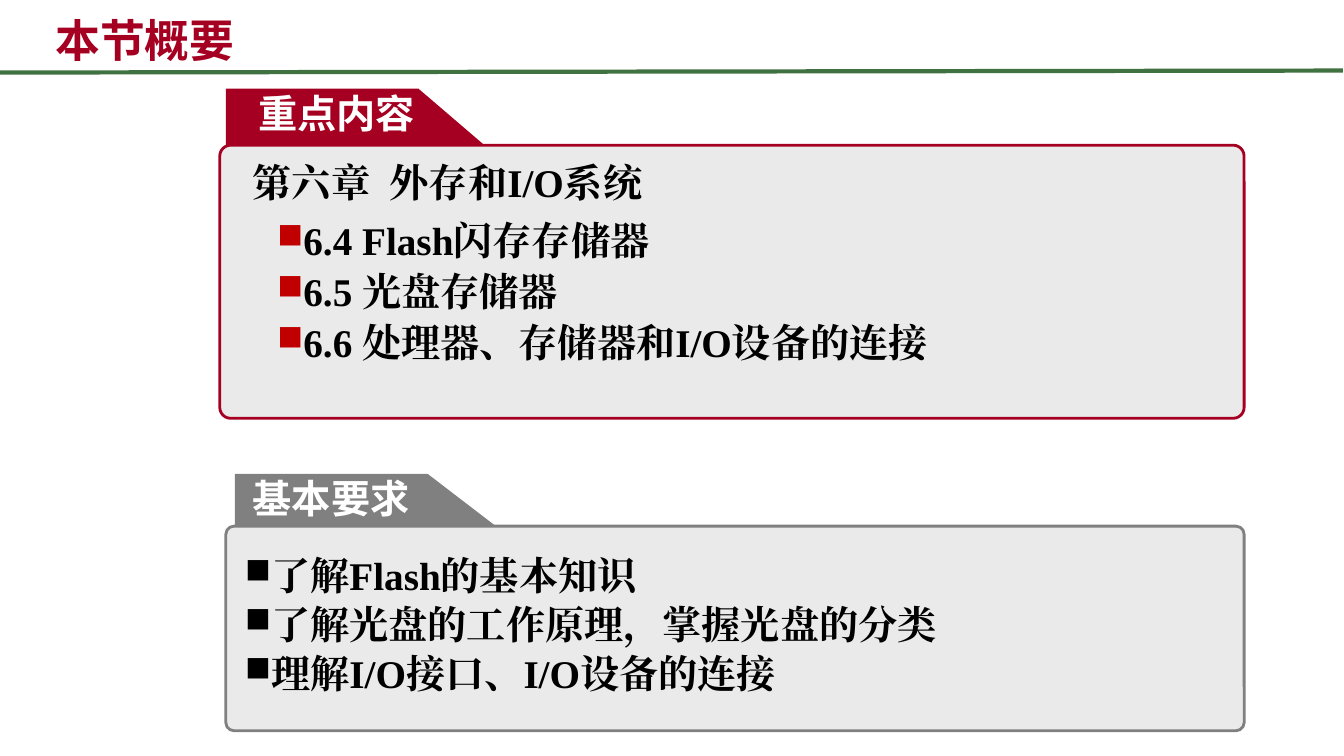
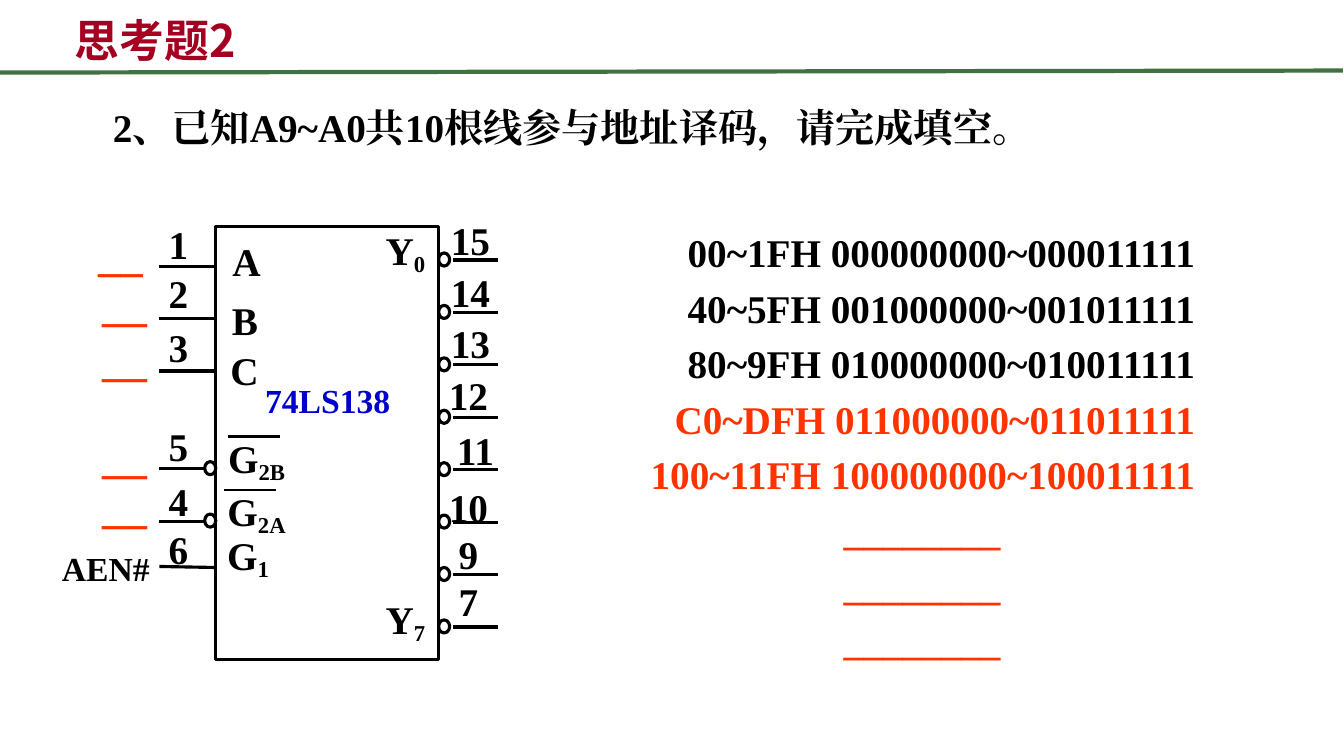
"""Builds two lecture slides: a section overview and a decoder exercise."""
from lxml.etree import SubElement
from pptx import Presentation
from pptx.dml.color import RGBColor
from pptx.enum.shapes import MSO_CONNECTOR as CONN, MSO_SHAPE as SHAPE
from pptx.enum.text import MSO_ANCHOR as ANCHOR, PP_ALIGN as ALIGN
from pptx.oxml.ns import qn
from pptx.util import Inches, Pt

COLORS = {
    "crimson": "A50021", "green": "3F7141", "gray": "808080", "panel": "EAEAEA",
    "black": "000000", "white": "FFFFFF", "bullet": "C00000",
    "answer": "FF3300", "chip": "0000CC",
}
SERIF, SANS, TITLE = "Times New Roman", "Arial", "Noto Sans CJK SC"
LEADING = 1.2
PIN_GAP = 0.52


def rgb(name):
    return RGBColor.from_string(COLORS[name])


def set_font(p, size, color, font):
    p.font.size = Pt(size)
    p.font.bold = True
    p.font.color.rgb = rgb(color)
    p.font.name = font
    props = p._p.pPr.find(qn("a:defRPr"))
    SubElement(props, qn("a:ea")).set("typeface", font)


def set_bullet(p, color, left, hang):
    props = p._p.get_or_add_pPr()
    props.set("marL", str(Inches(left)))
    props.set("indent", str(-Inches(hang)))
    clr = SubElement(props, qn("a:buClr"))
    SubElement(clr, qn("a:srgbClr")).set("val", COLORS[color])
    SubElement(props, qn("a:buSzPct")).set("val", "90000")
    SubElement(props, qn("a:buChar")).set("char", "■")


def add_text(s, box, lines, size=28, color="black", font=SERIF, align=ALIGN.LEFT,
             spacing=1.0, before=0, wrap=True, bullet=None):
    """Add a text box; each line is a string or a (text, color) pair."""
    tf = s.shapes.add_textbox(*map(Inches, box)).text_frame
    tf.word_wrap = wrap
    for i, line in enumerate(lines):
        text, tint = line if isinstance(line, tuple) else (line, color)
        p = tf.paragraphs[0] if i == 0 else tf.add_paragraph()
        p.add_run().text = text
        p.alignment = align
        p.line_spacing = Pt(round(size * LEADING * spacing, 1))
        if i and before:
            p.space_before = Pt(before)
        if bullet:
            set_bullet(p, *bullet)
        set_font(p, size, tint, font)
    return tf


def add_label(s, x, y, w, text, sub="", size=28, color="black"):
    """Add a one-line centred label with an optional subscript."""
    tf = add_text(s, (x, y, w, 0.1 + size / 60), [text], size, color,
                  align=ALIGN.CENTER, wrap=False)
    if sub:
        r = tf.paragraphs[0].add_run()
        r.text = sub
        r._r.get_or_add_rPr().set("baseline", "-18000")


def add_line(s, x1, y1, x2, y2, color="black", width=2.25):
    c = s.shapes.add_connector(CONN.STRAIGHT, *map(Inches, (x1, y1, x2, y2)))
    c.line.color.rgb = rgb(color)
    c.line.width = Pt(width)
    SubElement(c._element.spPr, qn("a:effectLst"))


def add_outline(s, kind, box, line="black", width=2.25, fill=None):
    sp = s.shapes.add_shape(kind, *map(Inches, box))
    sp.shadow.inherit = False
    if fill:
        sp.fill.solid()
        sp.fill.fore_color.rgb = rgb(fill)
    else:
        sp.fill.background()
    sp.line.color.rgb = rgb(line)
    sp.line.width = Pt(width)
    return sp


def add_tab(s, x, y, h, color):
    """Add a tab with a slanted right side."""
    fb = s.shapes.build_freeform(Inches(x), Inches(y))
    corners = [(x + 1.91, y), (x + 2.68, y + h), (x, y + h)]
    fb.add_line_segments([(Inches(a), Inches(b)) for a, b in corners], close=True)
    sp = fb.convert_to_shape()
    sp.shadow.inherit = False
    sp.fill.solid()
    sp.fill.fore_color.rgb = rgb(color)
    sp.line.fill.background()


def add_panel(s, box, color):
    sp = add_outline(s, SHAPE.ROUNDED_RECTANGLE, box, color, 2, "panel")
    sp.adjustments[0] = 0.04


def add_bubble(s, x, y):
    add_outline(s, SHAPE.OVAL, (x, y - 0.07, 0.11, 0.13))


def new_slide(prs, title, x):
    s = prs.slides.add_slide(prs.slide_layouts[6])
    add_line(s, 0, 0.72, 13.32, 0.7, "green", 3)
    tf = s.shapes.add_textbox(*map(Inches, (x, 0.09, 3.23, 0.62))).text_frame
    tf.word_wrap = True
    tf.vertical_anchor = ANCHOR.BOTTOM
    p = tf.paragraphs[0]
    p.add_run().text = title
    p.alignment = ALIGN.LEFT
    set_font(p, 32, "crimson", TITLE)
    return s


def build_overview(prs):
    s = new_slide(prs, "本节概要", 0.45)
    add_tab(s, 2.24, 0.88, 0.66, "crimson")
    add_text(s, (2.38, 0.84, 1.92, 0.57), ["重点内容"], color="white", font=SANS,
             align=ALIGN.CENTER)
    add_panel(s, (2.18, 1.44, 10.16, 2.71), "crimson")
    add_text(s, (2.41, 1.47, 6.83, 0.59), ["第六章  外存和I/O系统"], spacing=1.1)
    add_text(s, (2.37, 2.1, 9.96, 1.61),
             ["6.4 Flash闪存存储器", "6.5 光盘存储器", "6.6 处理器、存储器和I/O设备的连接"],
             before=2.8, bullet=("bullet", 0.5, 0.22))
    add_tab(s, 2.33, 4.7, 0.59, "gray")
    add_text(s, (2.41, 4.66, 1.76, 0.57), ["基本要求"], color="white", font=SANS)
    add_panel(s, (2.24, 5.22, 10.1, 2.03), "gray")
    add_text(s, (2.33, 5.42, 10, 1.56),
             ["了解Flash的基本知识", "了解光盘的工作原理，掌握光盘的分类", "理解I/O接口、I/O设备的连接"],
             before=1.4, bullet=("black", 0.19, 0.19))


def add_decoder(s):
    """Draw the decoder chip with its pins, pin names and pin numbers."""
    add_outline(s, SHAPE.RECTANGLE, (2.14, 2.25, 2.21, 4.29))
    for i in range(3):
        y = 2.64 + i * PIN_GAP
        add_line(s, 1.58, y, 2.14, y)
    for i in range(8):
        y = 2.58 + i * PIN_GAP
        add_bubble(s, 4.35, y)
        add_line(s, 4.49, y, 4.94, y)
    for y in (4.65, 4.65 + PIN_GAP):
        add_bubble(s, 2.03, y)
        add_line(s, 1.58, y, 2.03, y)
    add_line(s, 1.58, 5.62, 2.14, 5.63)
    for x, y in ((2.26, 4.33), (2.22, 4.86)):
        add_line(s, x, y, x + 0.52, y, width=1.5)

    for x, y, w, name, sub in [
        (2.2, 2.31, 0.49, "A", ""), (2.2, 2.89, 0.46, "B", ""),
        (2.18, 3.39, 0.49, "C", ""), (2.14, 4.3, 0.81, "G", "2B"),
        (2.13, 4.82, 0.83, "G", "2A"), (2.14, 5.26, 0.64, "G", "1"),
        (3.71, 2.23, 0.62, "Y", "0"), (3.71, 5.89, 0.62, "Y", "7"),
    ]:
        add_label(s, x, y, w, name, sub)
    for number, y in [("1", 2.14), ("2", 2.62), ("3", 3.16),
                      ("5", 4.14), ("4", 4.69), ("6", 5.16)]:
        add_label(s, 1.57, y, 0.4, number)
    for number, x, y in [("15", 4.37, 2.1), ("14", 4.37, 2.61), ("13", 4.37, 3.12),
                         ("12", 4.35, 3.63), ("11", 4.42, 4.18), ("10", 4.35, 4.75),
                         ("9", 4.35, 5.21), ("7", 4.35, 5.68)]:
        add_label(s, x, y, 0.59, number)
    add_label(s, 2.52, 3.72, 1.46, "74LS138", size=24, color="chip")
    add_label(s, 0.51, 5.39, 1.08, "AEN#", size=24)


def build_exercise(prs):
    s = new_slide(prs, "思考题2", 0.64)
    add_text(s, (0.87, 0.7, 9.22, 0.85),
             ["2、已知A9~A0共10根线参与地址译码，请完成填空。"],
             align=ALIGN.CENTER, spacing=1.6)
    add_decoder(s)
    for x, y in ((0.87, 2.2), (0.91, 2.7), (0.91, 3.24), (0.91, 4.2), (0.91, 4.7)):
        add_label(s, x, y, 0.65, "__", size=32, color="answer")
    add_text(s, (5.13, 2.22, 6.82, 2.8),
             ["00~1FH 000000000~000011111", "40~5FH 001000000~001011111",
              "80~9FH 010000000~010011111",
              ("C0~DFH 011000000~011011111", "answer"),
              ("100~11FH 100000000~100011111", "answer")],
             align=ALIGN.RIGHT, before=6)
    add_text(s, (5.13, 4.97, 8.03, 1.7), ["________"] * 3, color="answer",
             align=ALIGN.CENTER, before=6)


def main():
    prs = Presentation()
    prs.slide_width, prs.slide_height = Inches(13.33), Inches(7.5)
    build_overview(prs)
    build_exercise(prs)
    prs.save("out.pptx")


if __name__ == "__main__":
    main()
